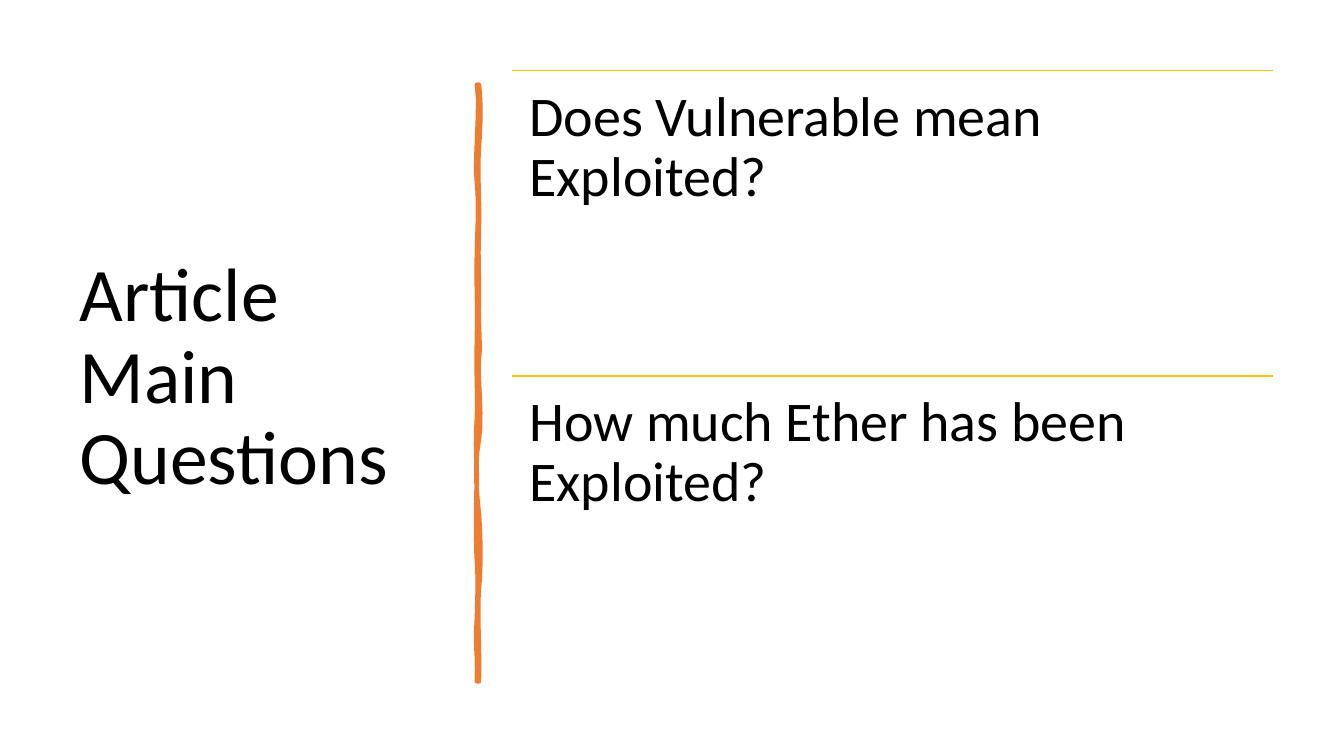
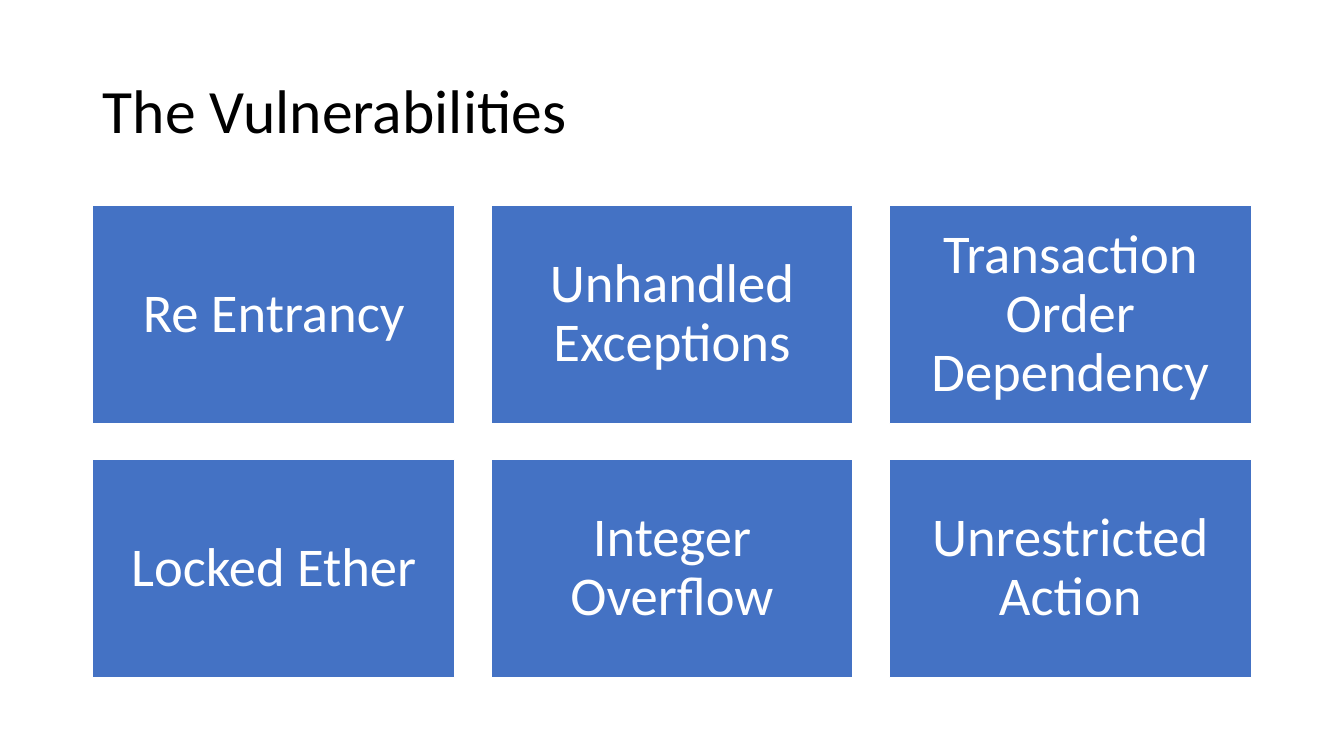
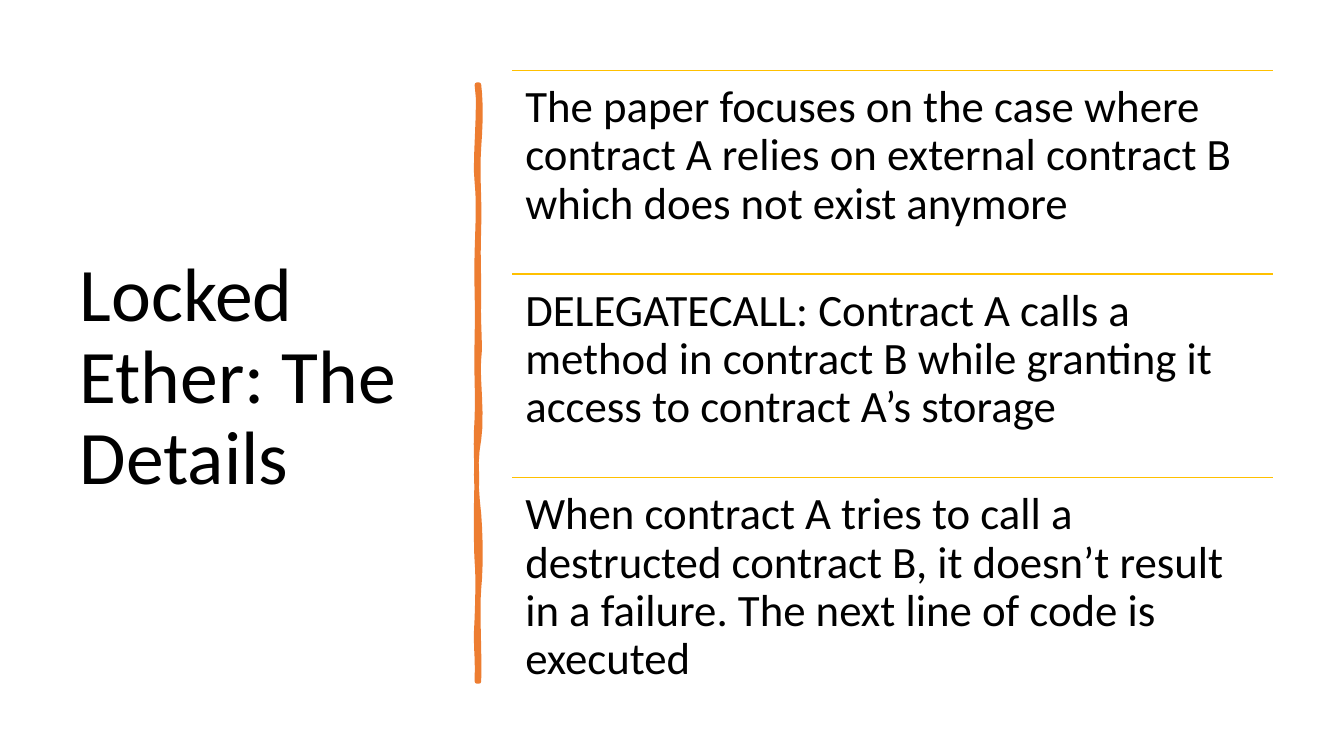
"""Build three slides on smart contract vulnerabilities."""
from dataclasses import dataclass

import pptx
import pptx.dml.color
import pptx.enum.shapes
import pptx.enum.text
import pptx.oxml
import pptx.oxml.ns
import pptx.presentation
import pptx.shapes.base
import pptx.slide
import pptx.text.text
import pptx.util

Inches = pptx.util.Inches
Pt = pptx.util.Pt
RGBColor = pptx.dml.color.RGBColor
Align = pptx.enum.text.PP_ALIGN
Anchor = pptx.enum.text.MSO_ANCHOR

BLACK = RGBColor(0x00, 0x00, 0x00)
WHITE = RGBColor(0xFF, 0xFF, 0xFF)
BLUE = RGBColor(0x44, 0x72, 0xC4)
ORANGE = RGBColor(0xED, 0x7D, 0x31)
GOLD = RGBColor(0xFF, 0xC0, 0x00)
FONT = "Calibri"
TITLE_ONLY = 5
CURVE_STEPS = 6

BRUSH_START = (4.75, 0.84)
BRUSH_CURVES = (
    (4.77, 1.02, 4.77, 1.19, 4.75, 1.46),
    (4.73, 1.73, 4.76, 1.95, 4.75, 2.26),
    (4.74, 2.57, 4.75, 2.62, 4.75, 2.94),
    (4.74, 3.25, 4.77, 3.42, 4.75, 3.56),
    (4.73, 3.70, 4.79, 4.14, 4.75, 4.36),
    (4.71, 4.57, 4.72, 4.84, 4.75, 5.10),
    (4.77, 5.36, 4.77, 5.64, 4.75, 5.84),
    (4.73, 6.03, 4.76, 6.50, 4.75, 6.76),
    (4.74, 6.76, 4.73, 6.76, 4.73, 6.76),
    (4.74, 6.46, 4.71, 6.44, 4.73, 6.13),
    (4.74, 5.83, 4.74, 5.70, 4.73, 5.57),
    (4.72, 5.44, 4.72, 4.95, 4.73, 4.77),
    (4.73, 4.59, 4.71, 4.45, 4.73, 4.15),
    (4.74, 3.86, 4.72, 3.73, 4.73, 3.35),
    (4.74, 2.98, 4.72, 2.81, 4.73, 2.50),
    (4.74, 2.18, 4.75, 2.00, 4.73, 1.81),
    (4.70, 1.63, 4.77, 1.04, 4.73, 0.84),
)


@dataclass(frozen=True)
class Box:
    """Position and size in inches."""
    left: float
    top: float
    width: float
    height: float

    def lengths(self) -> tuple[int, ...]:
        """Return the four values as lengths."""
        return tuple(Inches(v) for v in (self.left, self.top, self.width, self.height))


@dataclass(frozen=True)
class TextStyle:
    """Look of a text frame."""
    size: float
    inset: float
    color: RGBColor = BLACK
    align: Align = Align.LEFT
    anchor: Anchor = Anchor.TOP


@dataclass(frozen=True)
class RuledSlide:
    """A side title and the statements listed beside it."""
    title: str
    statements: tuple[str, ...]
    style: TextStyle


SIDE_TITLE = Box(0.69, 0.7, 3.74, 6.11)
TOP_TITLE = Box(0.92, 0.4, 11.5, 1.45)
STATEMENTS = Box(5.08, 0.7, 7.55, 6.06)
FIRST_TILE = Box(0.92, 2.04, 3.59, 2.16)
TILE_GAP = 0.36
TILE_COLUMNS = 3
SIDE_TITLE_STYLE = TextStyle(54, 0.1, anchor=Anchor.MIDDLE)
TOP_TITLE_STYLE = TextStyle(44, 0.1, anchor=Anchor.MIDDLE)
TILE_STYLE = TextStyle(39, 0.16, WHITE, Align.CENTER, Anchor.MIDDLE)

QUESTIONS = RuledSlide(
    "Article Main Questions",
    ("Does Vulnerable mean Exploited?", "How much Ether has been Exploited?"),
    TextStyle(40, 0.17),
)
VULNERABILITIES = (
    "Re Entrancy", "Unhandled Exceptions", "Transaction Order Dependency",
    "Locked Ether", "Integer Overflow", "Unrestricted Action",
)
LOCKED_ETHER = RuledSlide(
    "Locked Ether: The Details",
    (
        "The paper focuses on the case where contract A relies on external "
        "contract B which does not exist anymore",
        "DELEGATECALL: Contract A calls a method in contract B while granting it "
        "access to contract A’s storage",
        "When contract A tries to call a destructed contract B, it doesn’t result "
        "in a failure. The next line of code is executed",
    ),
    TextStyle(32, 0.13),
)


def write_text(frame: pptx.text.text.TextFrame, text: str, style: TextStyle) -> None:
    """Fill a text frame with one styled paragraph."""
    frame.word_wrap = True
    frame.auto_size = pptx.enum.text.MSO_AUTO_SIZE.NONE
    frame.vertical_anchor = style.anchor
    frame.margin_left = frame.margin_right = Inches(style.inset)
    frame.margin_top = frame.margin_bottom = Inches(min(style.inset, 0.05) if style.inset == 0.1 else style.inset)
    paragraph = frame.paragraphs[0]
    paragraph.alignment = style.align
    paragraph.line_spacing = 0.9
    run = paragraph.add_run()
    run.text = text
    run.font.name = FONT
    run.font.size = Pt(style.size)
    run.font.color.rgb = style.color


def add_titled_slide(
    deck: pptx.presentation.Presentation, title: str, box: Box, style: TextStyle
) -> pptx.slide.Slide:
    """Add a slide and place its title."""
    slide = deck.slides.add_slide(deck.slide_layouts[TITLE_ONLY])
    heading = slide.shapes.title
    heading.left, heading.top, heading.width, heading.height = box.lengths()
    write_text(heading.text_frame, title, style)
    return slide


def brush_points() -> list[tuple[int, int]]:
    """Sample the brush outline along its cubic curves."""
    points = []
    x0, y0 = BRUSH_START
    for x1, y1, x2, y2, x3, y3 in BRUSH_CURVES:
        for step in range(1, CURVE_STEPS + 1):
            t = step / CURVE_STEPS
            u = 1 - t
            weights = (u**3, 3 * u * u * t, 3 * u * t * t, t**3)
            x = sum(w * v for w, v in zip(weights, (x0, x1, x2, x3)))
            y = sum(w * v for w, v in zip(weights, (y0, y1, y2, y3)))
            points.append((Inches(x), Inches(y)))
        x0, y0 = x3, y3
    return points


def add_brush_stroke(slide: pptx.slide.Slide) -> None:
    """Draw the hand-painted vertical divider."""
    start_x, start_y = (Inches(v) for v in BRUSH_START)
    builder = slide.shapes.build_freeform(start_x, start_y)
    builder.add_line_segments(brush_points(), close=True)
    brush = builder.convert_to_shape()
    brush.shadow.inherit = False
    brush.fill.solid()
    brush.fill.fore_color.rgb = ORANGE
    brush.line.color.rgb = ORANGE
    brush.line.width = Pt(3.25)


def add_rule(slide: pptx.slide.Slide, left: float, top: float, width: float) -> None:
    """Draw a thin horizontal rule."""
    rule = slide.shapes.add_connector(
        pptx.enum.shapes.MSO_CONNECTOR.STRAIGHT,
        Inches(left), Inches(top), Inches(left + width), Inches(top),
    )
    rule.line.color.rgb = GOLD
    rule.line.width = Pt(1)
    rule._element.spPr.append(pptx.oxml.parse_xml(f"<a:effectLst {pptx.oxml.ns.nsdecls('a')}/>"))


def add_ruled_slide(deck: pptx.presentation.Presentation, content: RuledSlide) -> None:
    """Add a slide with a side title and equally tall ruled statements."""
    slide = add_titled_slide(deck, content.title, SIDE_TITLE, SIDE_TITLE_STYLE)
    add_brush_stroke(slide)
    height = STATEMENTS.height / len(content.statements)
    for index, statement in enumerate(content.statements):
        row = Box(STATEMENTS.left, STATEMENTS.top + index * height, STATEMENTS.width, height)
        add_rule(slide, row.left, row.top, row.width)
        write_text(slide.shapes.add_textbox(*row.lengths()).text_frame, statement, content.style)


def add_tile(slide: pptx.slide.Slide, box: Box, label: str) -> None:
    """Add one labelled blue tile."""
    tile = slide.shapes.add_shape(pptx.enum.shapes.MSO_SHAPE.RECTANGLE, *box.lengths())
    tile.shadow.inherit = False
    tile.fill.solid()
    tile.fill.fore_color.rgb = BLUE
    tile.line.color.rgb = WHITE
    tile.line.width = Pt(1)
    write_text(tile.text_frame, label, TILE_STYLE)


def add_vulnerabilities_slide(deck: pptx.presentation.Presentation) -> None:
    """Add the grid of vulnerabilities."""
    slide = add_titled_slide(deck, "The Vulnerabilities", TOP_TITLE, TOP_TITLE_STYLE)
    width, height = FIRST_TILE.width, FIRST_TILE.height
    for index, label in enumerate(VULNERABILITIES):
        row, column = divmod(index, TILE_COLUMNS)
        left = FIRST_TILE.left + column * (width + TILE_GAP)
        top = FIRST_TILE.top + row * (height + TILE_GAP)
        add_tile(slide, Box(left, top, width, height), label)


def main() -> None:
    """Build and save the deck."""
    deck = pptx.Presentation()
    deck.slide_width, deck.slide_height = Inches(13.33), Inches(7.5)
    add_ruled_slide(deck, QUESTIONS)
    add_vulnerabilities_slide(deck)
    add_ruled_slide(deck, LOCKED_ETHER)
    deck.save("out.pptx")


if __name__ == "__main__":
    main()
